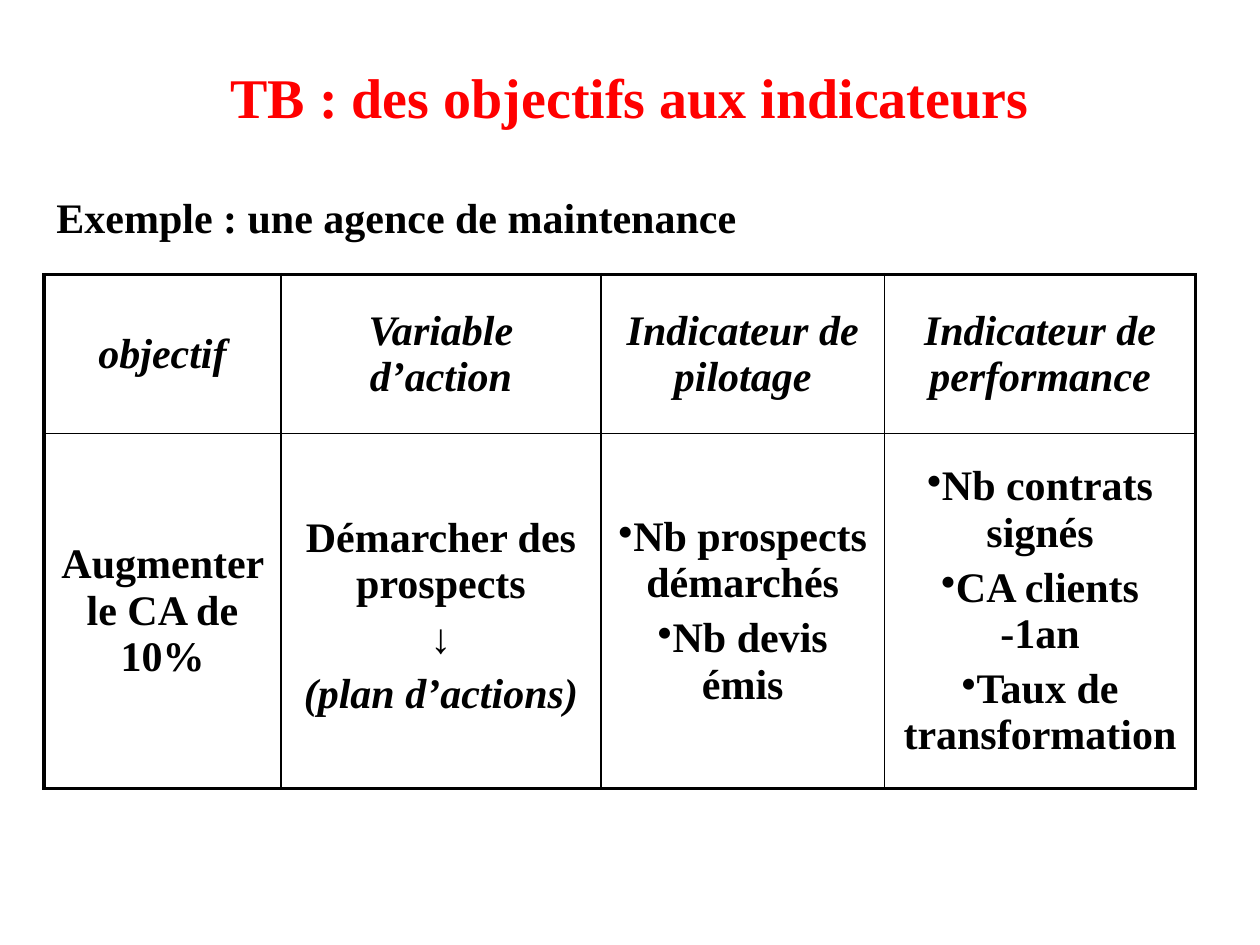
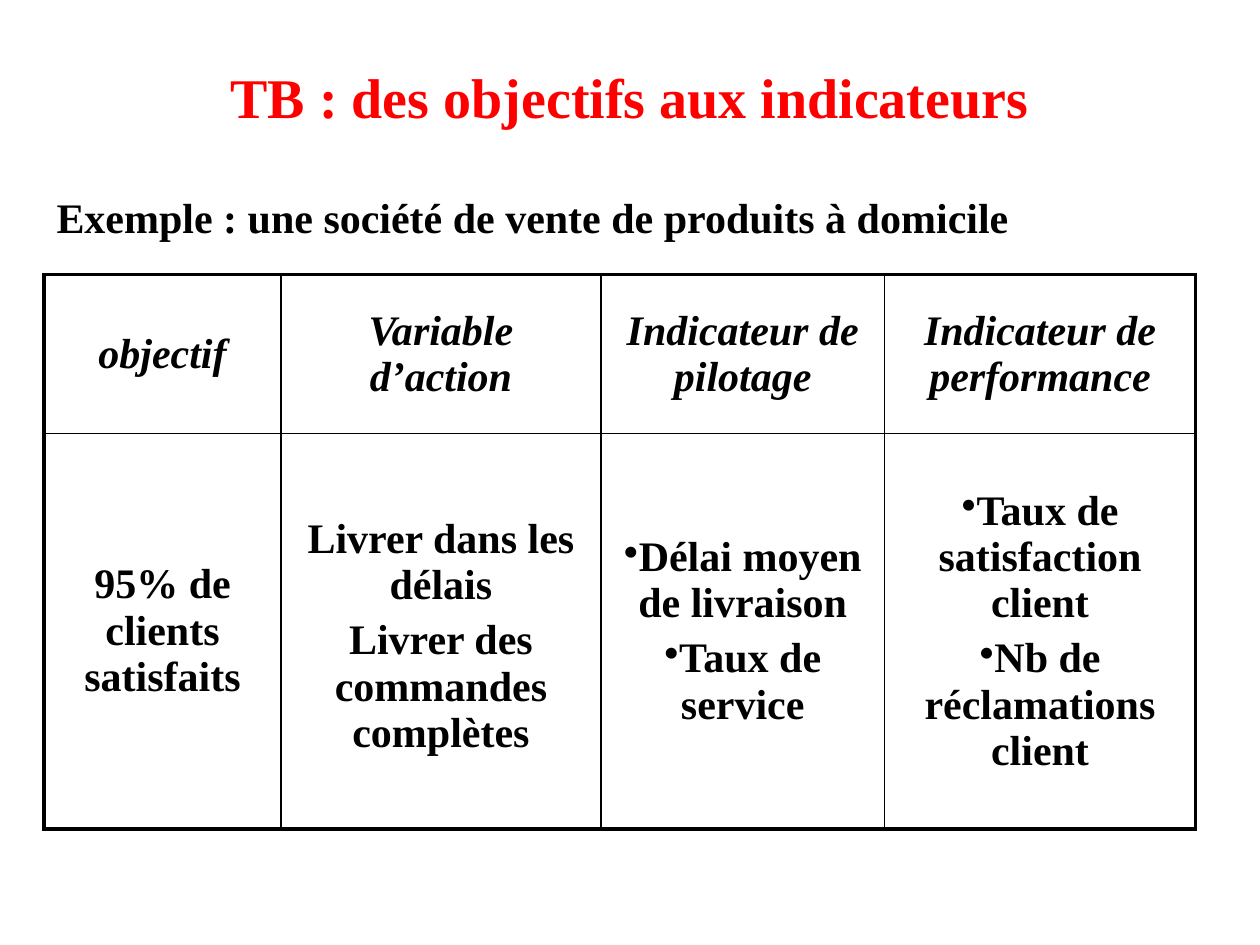
from typing import NamedTuple

from lxml.etree import SubElement
from pptx import Presentation
from pptx.dml.color import RGBColor
from pptx.enum.text import MSO_ANCHOR as Anchor, PP_ALIGN as Align
from pptx.oxml.ns import qn
from pptx.util import Inches, Pt

FONT = "Times New Roman"
RED = RGBColor(0xFF, 0x00, 0x00)
BLACK = RGBColor(0x00, 0x00, 0x00)
WHITE = RGBColor(0xFF, 0xFF, 0xFF)

TITLE = "TB : des objectifs aux indicateurs"
TITLE_SIZE = Pt(32)
BODY_SIZE = Pt(24)
PARAGRAPH_GAP = Pt(4.8)
OUTER_LINE = Pt(2.25)
INNER_LINE = Pt(1)

LEFT = Inches(0.35)
TABLE_TOP = Inches(2.18)
COLUMN_WIDTHS = [Inches(width) for width in (1.88, 2.54, 2.25, 2.47)]
HEADER_HEIGHT = Inches(1.26)
SIDE_MARGIN = Inches(0.1)
END_MARGIN = Inches(0.05)
ACTION_TOP_MARGIN = Inches(0.13)


class Line(NamedTuple):
    """One paragraph of a table cell."""

    text: str
    italic: bool = False
    bullet: bool = False


class CellContent(NamedTuple):
    """The paragraphs of a cell and its top margin."""

    lines: list[Line]
    top_margin: int = END_MARGIN


class Example(NamedTuple):
    """The content of one example slide."""

    caption: str
    caption_width: int
    body_height: int
    cells: list[CellContent]


def bullets(*texts: str) -> CellContent:
    """Return a cell holding a bulleted list."""
    return CellContent([Line(text, bullet=True) for text in texts])


HEADERS = [
    CellContent([Line(text, italic=True)])
    for text in (
        "objectif",
        "Variable d’action",
        "Indicateur de pilotage",
        "Indicateur de performance",
    )
]

EXAMPLES = [
    Example(
        "Exemple : une agence de maintenance",
        Inches(5.76),
        Inches(2.82),
        [
            CellContent([Line("Augmenter le CA de 10%")]),
            CellContent(
                [
                    Line("Démarcher des prospects"),
                    Line("↓"),
                    Line("(plan d’actions)", italic=True),
                ],
                ACTION_TOP_MARGIN,
            ),
            bullets("Nb prospects démarchés", "Nb devis émis"),
            bullets("Nb contrats signés", "CA clients -1an", "Taux de transformation"),
        ],
    ),
    Example(
        "Exemple : une société de vente de produits à domicile",
        Inches(8.58),
        Inches(3.14),
        [
            CellContent([Line("95% de clients satisfaits")]),
            CellContent(
                [Line("Livrer dans les délais"), Line("Livrer des commandes complètes")],
                ACTION_TOP_MARGIN,
            ),
            bullets("Délai moyen de livraison", "Taux de service"),
            bullets("Taux de satisfaction client", "Nb de réclamations client"),
        ],
    ),
]


def format_runs(paragraph, size: int, color: RGBColor, italic: bool = False) -> None:
    """Apply the shared bold typeface to the runs of a paragraph."""
    for run in paragraph.runs:
        run.font.name = FONT
        run.font.size = size
        run.font.bold = True
        run.font.italic = italic
        run.font.color.rgb = color


def add_text(slide, box: tuple, text: str, size: int, color: RGBColor,
             align: Align, anchor: Anchor) -> None:
    """Add a wrapped text box with one paragraph."""
    text_frame = slide.shapes.add_textbox(*box).text_frame
    text_frame.word_wrap = True
    text_frame.vertical_anchor = anchor
    text_frame.text = text
    paragraph = text_frame.paragraphs[0]
    paragraph.alignment = align
    format_runs(paragraph, size, color)


def add_bullet(paragraph) -> None:
    """Give a paragraph a bullet set directly against its text."""
    properties = paragraph._p.get_or_add_pPr()
    properties.set("marL", "0")
    properties.set("indent", "0")
    SubElement(properties, qn("a:buChar"), char="•")


def set_borders(cell, is_outer: dict[str, bool]) -> None:
    """Draw thick outer and thin inner borders around a cell."""
    properties = cell._tc.get_or_add_tcPr()
    for side, outer in is_outer.items():
        width = OUTER_LINE if outer else INNER_LINE
        line = SubElement(properties, qn(f"a:ln{side}"), w=str(width))
        fill = SubElement(line, qn("a:solidFill"))
        SubElement(fill, qn("a:srgbClr"), val=str(BLACK))


def fill_cell(cell, content: CellContent) -> None:
    """Write the centred paragraphs of a cell."""
    cell.fill.background()
    cell.vertical_anchor = Anchor.MIDDLE
    cell.margin_left = cell.margin_right = SIDE_MARGIN
    cell.margin_top, cell.margin_bottom = content.top_margin, END_MARGIN
    text_frame = cell.text_frame
    text_frame.text = "\n".join(line.text for line in content.lines)
    for index, (paragraph, line) in enumerate(zip(text_frame.paragraphs, content.lines)):
        paragraph.alignment = Align.CENTER
        if index:
            paragraph.space_before = PARAGRAPH_GAP
        if line.bullet:
            add_bullet(paragraph)
        format_runs(paragraph, BODY_SIZE, BLACK, line.italic)


def add_indicator_table(slide, example: Example) -> None:
    """Add the table that leads from objective to indicators."""
    rows = [HEADERS, example.cells]
    heights = [HEADER_HEIGHT, example.body_height]
    table = slide.shapes.add_table(
        len(rows), len(COLUMN_WIDTHS), LEFT, TABLE_TOP, sum(COLUMN_WIDTHS), sum(heights)
    ).table
    table.first_row = table.horz_banding = False
    for column, width in zip(table.columns, COLUMN_WIDTHS):
        column.width = width
    for row, height in zip(table.rows, heights):
        row.height = height
    for row_index, contents in enumerate(rows):
        for column_index, content in enumerate(contents):
            cell = table.cell(row_index, column_index)
            set_borders(cell, {
                "L": column_index == 0,
                "R": column_index == len(COLUMN_WIDTHS) - 1,
                "T": row_index == 0,
                "B": row_index == len(rows) - 1,
            })
            fill_cell(cell, content)


def add_example_slide(presentation, example: Example) -> None:
    """Add a slide with the title, a caption and its table."""
    slide = presentation.slides.add_slide(presentation.slide_layouts[6])
    slide.background.fill.solid()
    slide.background.fill.fore_color.rgb = WHITE
    title_box = (Inches(0.5), Inches(0.3), Inches(9), Inches(0.93))
    add_text(slide, title_box, TITLE, TITLE_SIZE, RED, Align.CENTER, Anchor.MIDDLE)
    add_indicator_table(slide, example)
    caption_box = (LEFT, Inches(1.47), example.caption_width, Inches(0.5))
    add_text(slide, caption_box, example.caption, BODY_SIZE, BLACK, Align.LEFT, Anchor.TOP)


def main() -> None:
    """Build and save the presentation."""
    presentation = Presentation()
    presentation.slide_width = Inches(10)
    presentation.slide_height = Inches(7.5)
    for example in EXAMPLES:
        add_example_slide(presentation, example)
    presentation.save("out.pptx")


if __name__ == "__main__":
    main()
